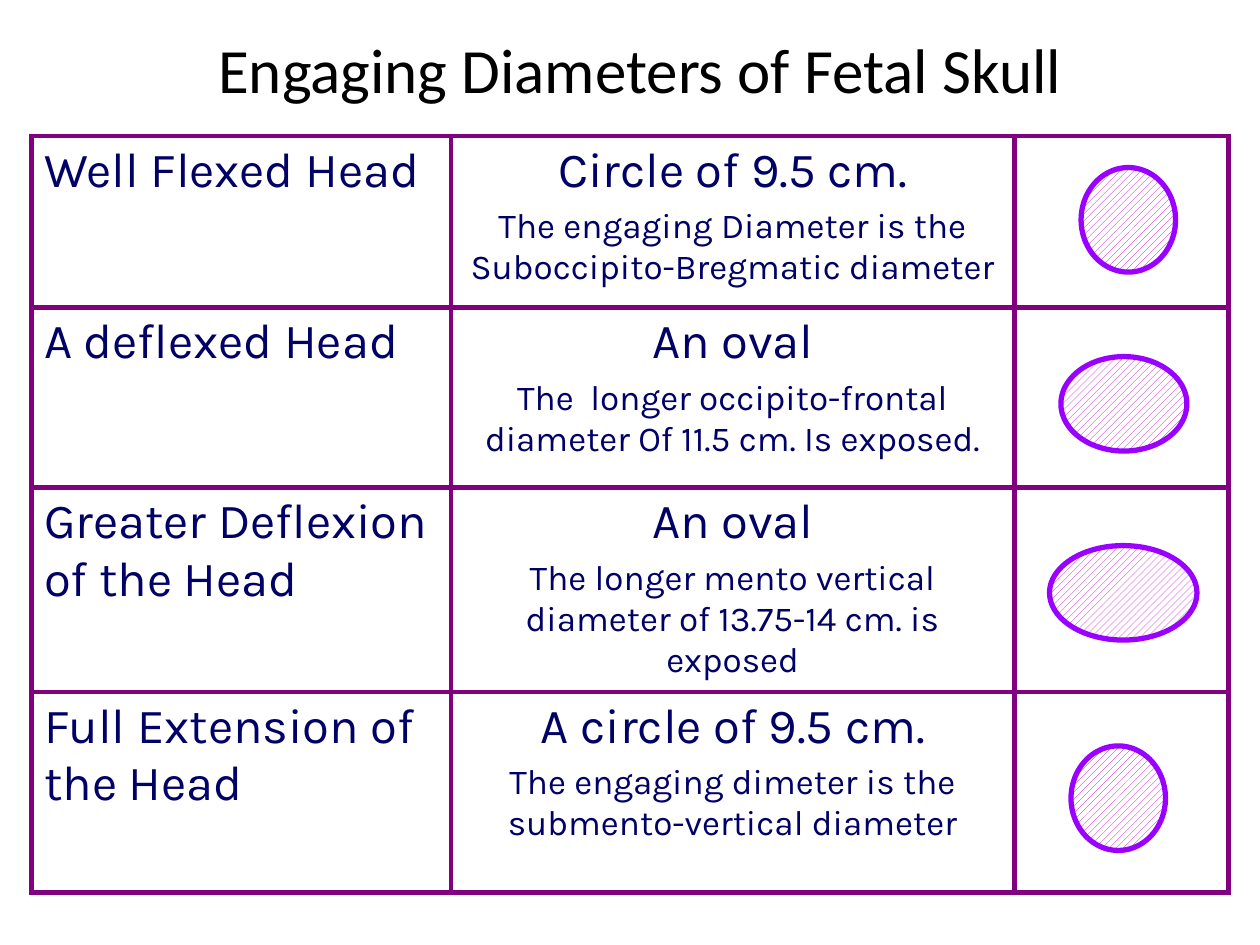
from lxml import etree
from pptx import Presentation
from pptx.dml.color import RGBColor
from pptx.enum.dml import MSO_PATTERN
from pptx.enum.shapes import MSO_SHAPE
from pptx.enum.text import MSO_ANCHOR, PP_ALIGN
from pptx.oxml.ns import qn
from pptx.util import Inches, Pt

CENTER, LEFT = PP_ALIGN.CENTER, PP_ALIGN.LEFT
MIDDLE = MSO_ANCHOR.MIDDLE
ELLIPSE = MSO_SHAPE.OVAL
HATCH = MSO_PATTERN.WIDE_UPWARD_DIAGONAL
COLORS = {"title": "000000", "text": "000066", "border": "800080",
          "outline": "9900FF", "hatch": "CC00CC", "paper": "FFFFFF"}
RGB = {name: RGBColor.from_string(value) for name, value in COLORS.items()}


def style(p, size, font, color, align):
    p.alignment = align
    for r in p.runs:
        r.font.size = Pt(size)
        r.font.name = font
        r.font.color.rgb = RGB[color]


def add_borders(cell, width, color):
    """Draw all four sides of a cell; the lines must come before its fill."""
    tcPr = cell._tc.get_or_add_tcPr()
    for i, side in enumerate(("a:lnL", "a:lnR", "a:lnT", "a:lnB")):
        ln = etree.Element(qn(side), w=str(Pt(width)))
        fill = etree.SubElement(ln, qn("a:solidFill"))
        etree.SubElement(fill, qn("a:srgbClr"), val=COLORS[color])
        tcPr.insert(i, ln)


prs = Presentation()
prs.slide_width, prs.slide_height = Inches(10), Inches(7.5)
s = prs.slides.add_slide(prs.slide_layouts[6])

# Title
title = s.shapes.add_textbox(Inches(0.83), Inches(0.17), Inches(8.5), Inches(0.75))
tf = title.text_frame
tf.word_wrap = True
tf.vertical_anchor = MIDDLE
tf.text = "Engaging Diameters of Fetal Skull"
style(tf.paragraphs[0], 36, "Calibri", "title", CENTER)

# Table: head position, engaging shape, explanation
rows = [
    ("Well Flexed Head", "Circle of 9.5 cm.",
     "The engaging Diameter is the Suboccipito-Bregmatic diameter"),
    ("A deflexed Head", "An oval",
     "The  longer occipito-frontal diameter Of 11.5 cm. Is exposed."),
    ("Greater Deflexion of the Head", "An oval",
     "The longer mento vertical diameter of 13.75-14 cm. is exposed"),
    ("Full Extension of the Head", "A circle of 9.5 cm.",
     "The engaging dimeter is the submento-vertical diameter"),
]
col_widths = [3.33, 4.47, 1.7]
row_heights = [1.36, 1.43, 1.58, 1.59]
table = s.shapes.add_table(len(rows), len(col_widths), Inches(0.25), Inches(1.08),
                           Inches(sum(col_widths)), Inches(sum(row_heights))).table
table.first_row = table.horz_banding = False
for col, width in zip(table.columns, col_widths):
    col.width = Inches(width)
for row, height in zip(table.rows, row_heights):
    row.height = Inches(height)

for i, (head, shape, explanation) in enumerate(rows):
    for cell in table.rows[i].cells:
        cell.fill.background()
        add_borders(cell, 3, "border")
    tf = table.cell(i, 0).text_frame
    tf.text = head
    style(tf.paragraphs[0], 28, "Karla", "text", LEFT)
    tf = table.cell(i, 1).text_frame
    tf.text = shape
    style(tf.paragraphs[0], 28, "Karla", "text", CENTER)
    p = tf.add_paragraph()
    p.text = explanation
    p.space_before = Pt(4)
    style(p, 20, "Karla", "text", CENTER)

# Outlines of the engaging diameters
ovals = [(8.58, 1.33, 0.75, 0.83), (8.42, 2.83, 1, 0.75),
         (8.33, 4.33, 1.17, 0.75), (8.5, 5.92, 0.75, 0.83)]
group = s.shapes.add_group_shape()
for box in ovals:
    sp = group.shapes.add_shape(ELLIPSE, *map(Inches, box))
    sp.shadow.inherit = False
    sp.fill.patterned()
    sp.fill.pattern = HATCH
    sp.fill.fore_color.rgb = RGB["hatch"]
    sp.fill.back_color.rgb = RGB["paper"]
    sp.line.color.rgb = RGB["outline"]
    sp.line.width = Pt(3)

prs.save("out.pptx")
